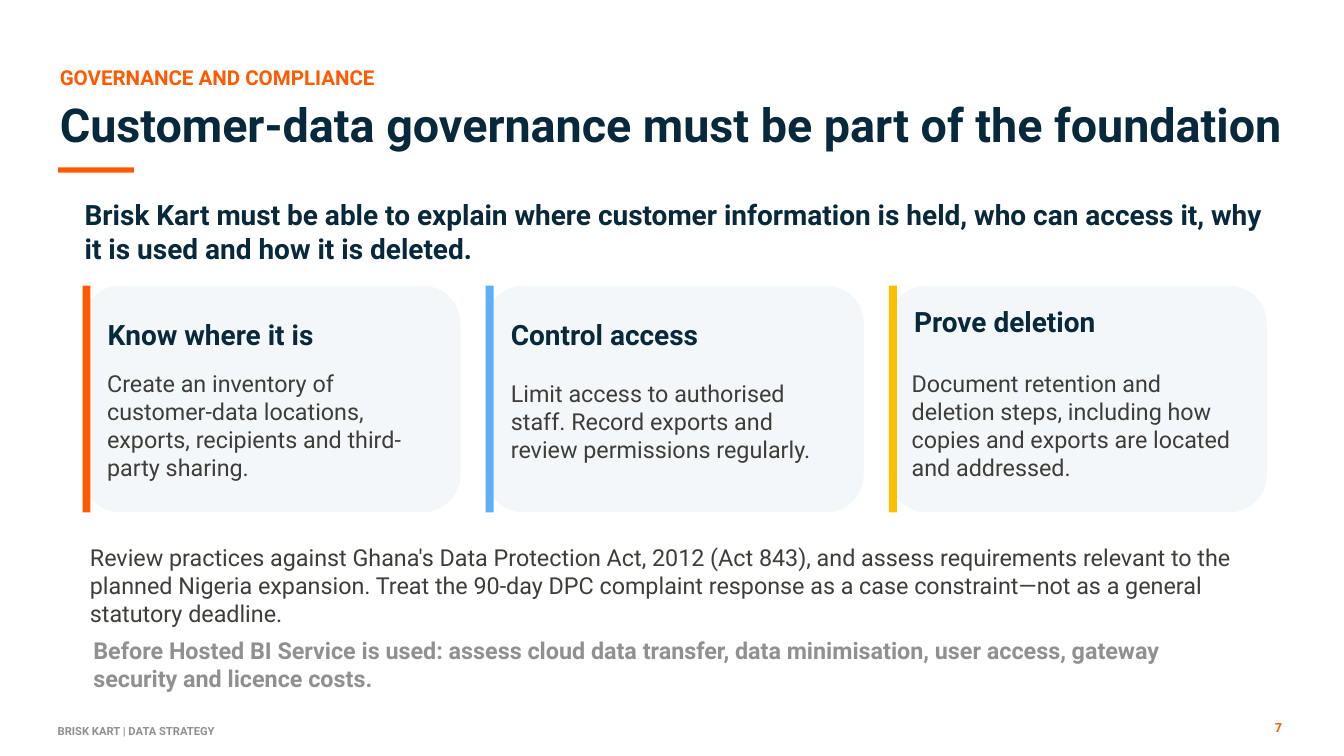
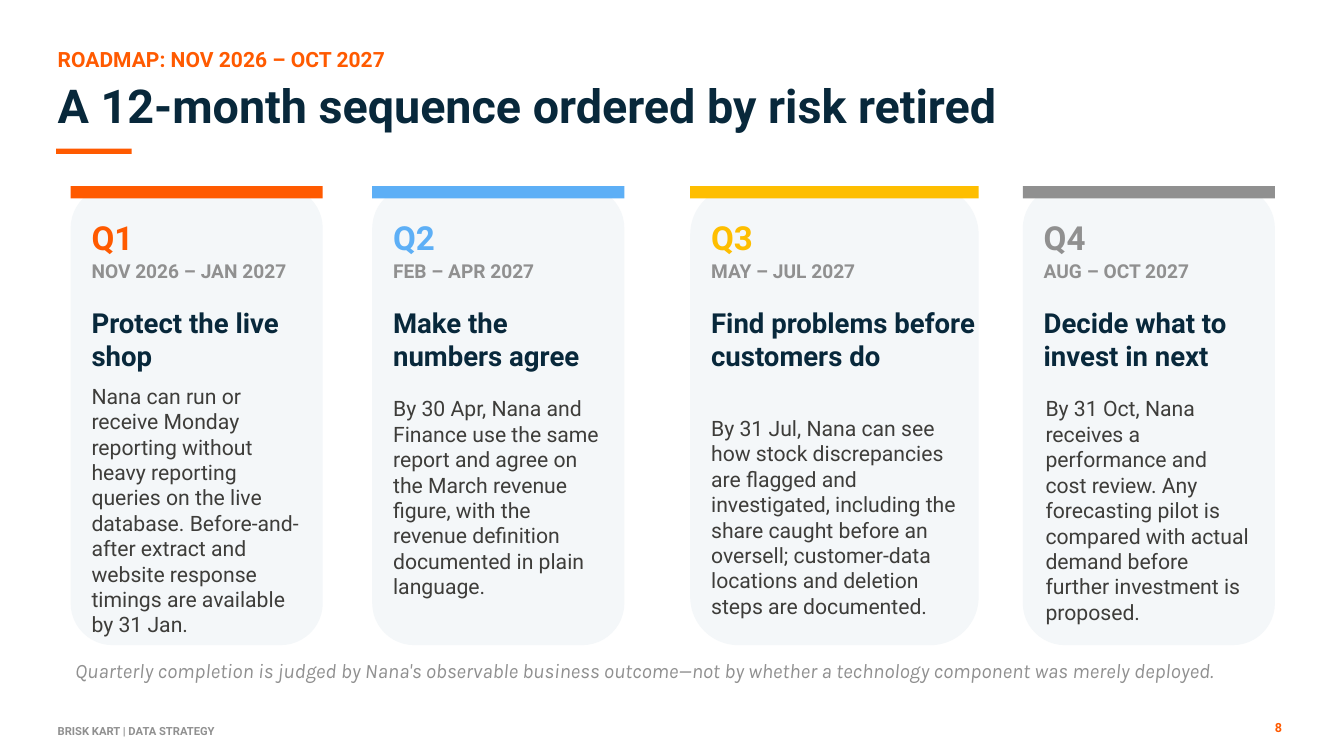
from pptx import Presentation
from pptx.dml.color import RGBColor
from pptx.enum.shapes import MSO_SHAPE as Shape
from pptx.enum.text import MSO_ANCHOR as Anchor, MSO_AUTO_SIZE as AutoSize, PP_ALIGN as Align
from pptx.util import Cm, Pt

COLORS = {
    "navy": "08283B",
    "orange": "FF5A00",
    "blue": "5DAFF6",
    "yellow": "FEBE00",
    "gray": "909090",
    "ink": "3E3D3A",
    "panel": "F4F7F9",
}
LINE_HEIGHT = 1.2
CM_PER_POINT = 2.54 / 72
TITLE_ONLY = 5


class Slides:
    """Holds the deck style and the current page, and draws each kind of element."""

    def __init__(self):
        self.deck = Presentation()
        self.deck.slide_width = Cm(50.8)
        self.deck.slide_height = Cm(28.58)
        self.page = None

    def color(self, name):
        return RGBColor.from_string(COLORS[name])

    def fill_text(self, box, text, size, color, bold=False, italic=False, font="Roboto", align=Align.LEFT):
        frame = box.text_frame
        frame.word_wrap = True
        frame.auto_size = AutoSize.NONE
        frame.vertical_anchor = Anchor.TOP
        frame.margin_left = frame.margin_right = frame.margin_top = frame.margin_bottom = 0
        para = frame.paragraphs[0]
        para.text = text
        para.alignment = align
        para.line_spacing = Pt(size * LINE_HEIGHT)
        para.space_before = Pt(0)
        para.font.name = font
        para.font.size = Pt(size)
        para.font.bold = bold
        para.font.italic = italic
        para.font.color.rgb = self.color(color)

    def text(self, left, top, width, text, size, color, lines=1, **style):
        height = lines * size * LINE_HEIGHT * CM_PER_POINT
        box = self.page.shapes.add_textbox(Cm(left), Cm(top), Cm(width), Cm(height))
        self.fill_text(box, text, size, color, **style)

    def block(self, left, top, width, height, color, kind=Shape.RECTANGLE):
        shape = self.page.shapes.add_shape(kind, Cm(left), Cm(top), Cm(width), Cm(height))
        shape.shadow.inherit = False
        shape.fill.solid()
        shape.fill.fore_color.rgb = self.color(color)
        shape.line.fill.background()

    def panel(self, left, top, width, height):
        self.block(left, top, width, height, "panel", Shape.ROUNDED_RECTANGLE)

    def start(self, left, top, kicker, kicker_size, title, number):
        self.page = self.deck.slides.add_slide(self.deck.slide_layouts[TITLE_ONLY])
        box = self.page.shapes.title
        box.left, box.top, box.width, box.height = Cm(left), Cm(top + 1.17), Cm(48), Cm(2.13)
        self.fill_text(box, title, 50, "navy", bold=True)
        self.text(left, top, 37.9, kicker, kicker_size, "orange", bold=True)
        self.block(left - 0.06, top + 3.87, 2.86, 0.2, "orange")
        self.text(2.18, 27.38, 26.47, "BRISK KART | DATA STRATEGY", 12, "gray", bold=True)
        self.text(46.76, 27.2, 1.7, number, 13.5, "orange", bold=True, align=Align.RIGHT)

    def pillar(self, left, color, heading, heading_top, body, body_left, body_top, lines):
        top, height = 10.8, 8.57
        self.panel(left, top, 14.29, height)
        self.block(left, top, 0.3, height, color)
        self.text(left + 0.95, heading_top, 12.57, heading, 30, "navy", bold=True)
        self.text(left + body_left, body_top, 12.57, body, 25, "ink", lines)

    def quarter(self, left, width, color, name, dates, heading, heading_width,
                body, body_left, body_top, body_width, lines):
        top, inner = 7.04, left + 0.79
        self.panel(left, top, width, 17.35)
        self.block(left, top, width, 0.46, color)
        self.text(inner, 8.2, 1.6, name, 35.5, color, bold=True)
        self.text(inner, 9.8, 7.8, dates, 20.5, "gray", bold=True)
        self.text(inner, 11.58, heading_width, heading, 29.5, "navy", lines=2, bold=True)
        self.text(left + body_left, body_top, body_width, body, 22.7, "ink", lines)


def governance(slides):
    """Draws the governance page."""
    slides.start(2.26, 2.46, "GOVERNANCE AND COMPLIANCE", 22,
                 "Customer-data governance must be part of the foundation", "7")
    slides.text(3.2, 7.47, 44.75,
                "Brisk Kart must be able to explain where customer information is held, "
                "who can access it, why it is used and how it is deleted.",
                30, "navy", lines=2, bold=True)
    pillars = [
        ("orange", "Know where it is", 11.99,
         "Create an inventory of customer-data locations, exports, recipients and third-party sharing.",
         0.93, 13.97, 4),
        ("blue", "Control access", 11.99,
         "Limit access to authorised staff. Record exports and review permissions regularly.",
         0.95, 14.33, 3),
        ("yellow", "Prove deletion", 11.51,
         "Document retention and deletion steps, including how copies and exports are located and addressed.",
         0.86, 13.97, 4),
    ]
    for index, pillar in enumerate(pillars):
        slides.pillar(3.12 + 15.24 * index, *pillar)
    slides.text(3.4, 20.55, 43.6,
                "Review practices against Ghana's Data Protection Act, 2012 (Act 843), and assess "
                "requirements relevant to the planned Nigeria expansion. Treat the 90-day DPC complaint "
                "response as a case constraint—not as a general statutory deadline.",
                25, "ink", lines=3)
    slides.text(3.53, 24.05, 43.6,
                "Before Hosted BI Service is used: assess cloud data transfer, data minimisation, "
                "user access, gateway security and licence costs.",
                25, "gray", lines=2, bold=True)


def roadmap(slides):
    """Draws the roadmap page."""
    slides.start(2.18, 1.75, "ROADMAP: NOV 2026 – OCT 2027", 22.5,
                 "A 12-month sequence ordered by risk retired", "8")
    quarters = [
        (2.67, 9.53, "orange", "Q1", "NOV 2026 – JAN 2027", "Protect the live shop", 7.8,
         "Nana can run or receive Monday reporting without heavy reporting queries on the live "
         "database. Before-and-after extract and website response timings are available by 31 Jan.",
         0.79, 14.48, 8.1, 10),
        (14.07, 9.53, "blue", "Q2", "FEB – APR 2027", "Make the numbers agree", 7.8,
         "By 30 Apr, Nana and Finance use the same report and agree on the March revenue figure, "
         "with the revenue definition documented in plain language.",
         0.79, 14.96, 7.95, 8),
        (26.09, 10.9, "yellow", "Q3", "MAY – JUL 2027", "Find problems before customers do", 10.11,
         "By 31 Jul, Nana can see how stock discrepancies are flagged and investigated, including "
         "the share caught before an oversell; customer-data locations and deletion steps are documented.",
         0.79, 15.7, 9.47, 8),
        (38.66, 9.53, "gray", "Q4", "AUG – OCT 2027", "Decide what to invest in next", 7.8,
         "By 31 Oct, Nana receives a performance and cost review. Any forecasting pilot is compared "
         "with actual demand before further investment is proposed.",
         0.86, 14.96, 7.8, 9),
    ]
    for quarter in quarters:
        slides.quarter(*quarter)
    slides.text(2.84, 24.87, 44.75,
                "Quarterly completion is judged by Nana's observable business outcome—not by whether "
                "a technology component was merely deployed.",
                22, "gray", italic=True, font="Karla")


def main():
    """Builds and saves the deck."""
    slides = Slides()
    governance(slides)
    roadmap(slides)
    slides.deck.save("out.pptx")


if __name__ == "__main__":
    main()
